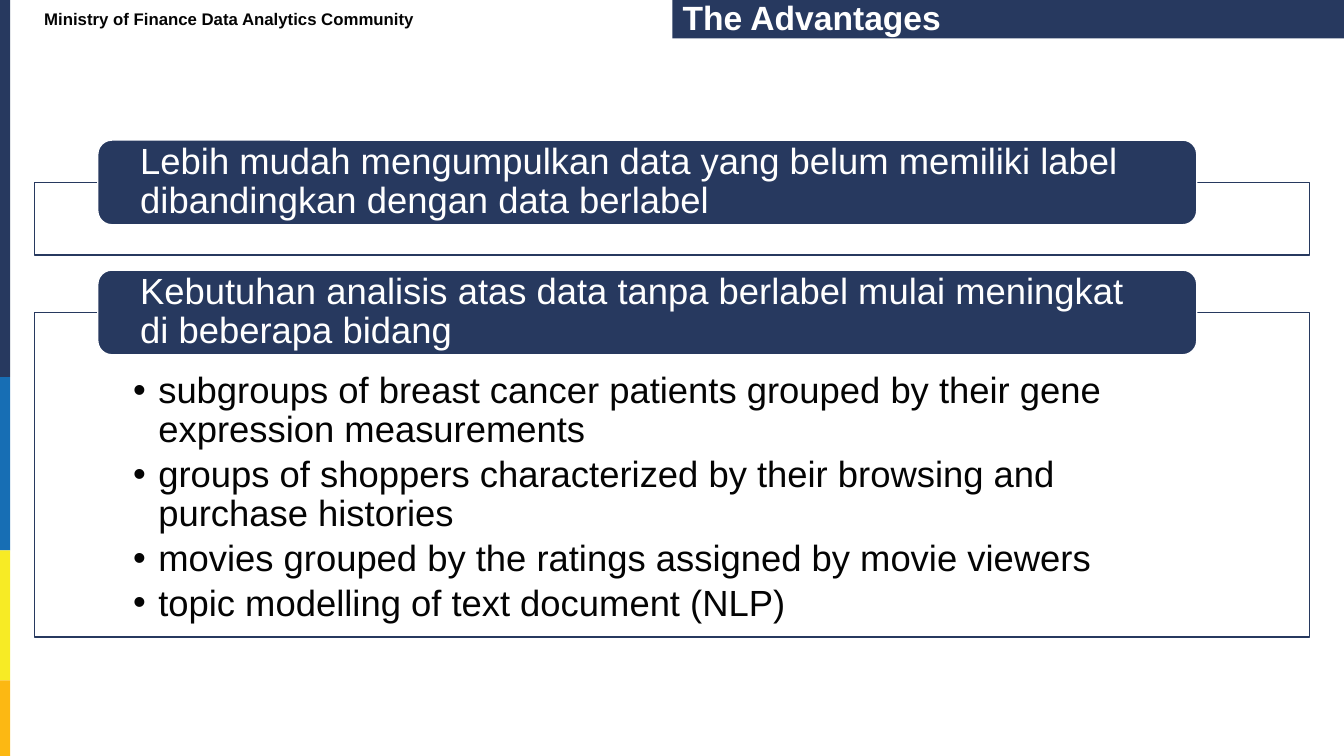
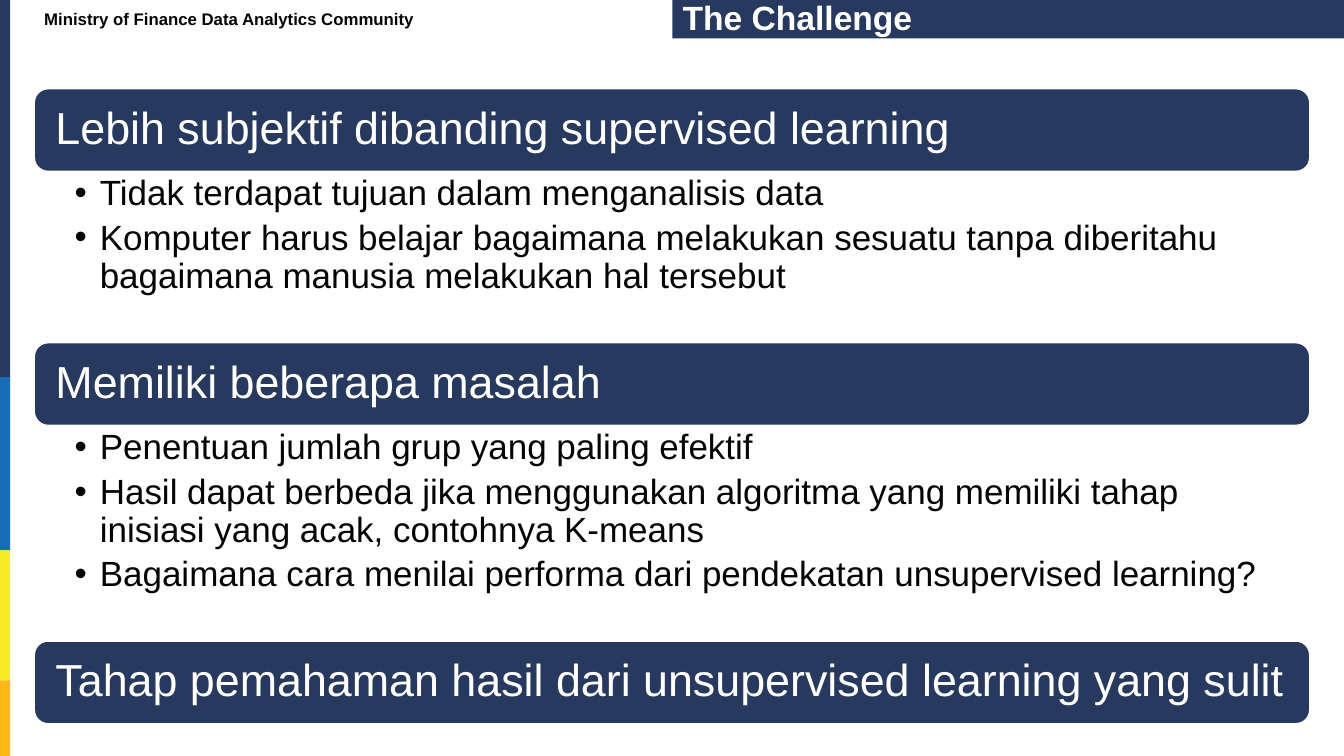
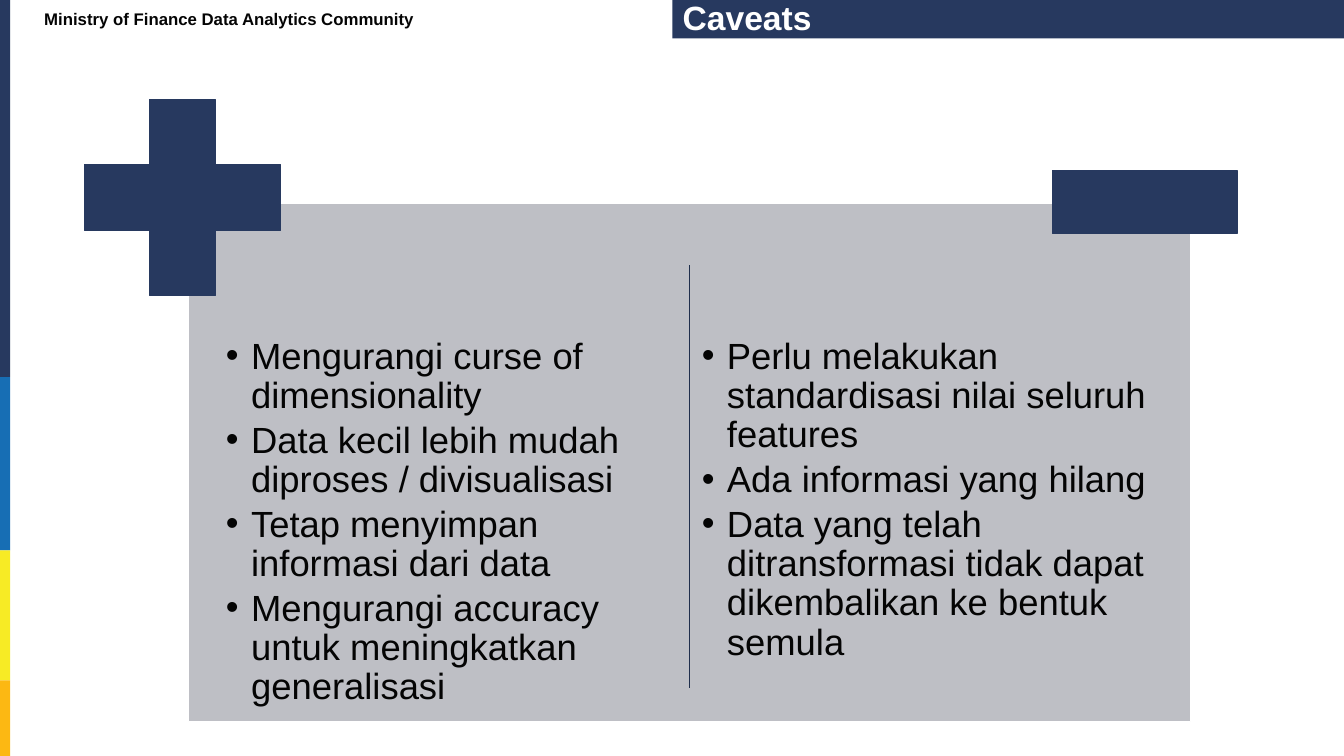
from lxml import etree
from pptx import Presentation
from pptx.dml.color import RGBColor
from pptx.enum import shapes, text
from pptx.oxml import ns
from pptx.util import Inches, Pt

NAVY = RGBColor(0x27, 0x39, 0x5F)
DARK_NAVY = RGBColor(0x1F, 0x2E, 0x4C)
BLUE = RGBColor(0x17, 0x6E, 0xB4)
YELLOW = RGBColor(0xF7, 0xEB, 0x25)
ORANGE = RGBColor(0xFC, 0xB8, 0x13)
GREY = RGBColor(0xBE, 0xBF, 0xC5)
WHITE = RGBColor(0xFF, 0xFF, 0xFF)
BLACK = RGBColor(0x04, 0x04, 0x04)

FONT = "Arial"
ONE_LIST, TWO_LISTS = 1, 3  # layouts of the default template
LEFT, WIDTH = 0.34, 12.65
TITLE_BOX = (6.67, 0, 6.67, 0.38)
STRIPES = [(0, 3.74, NAVY), (3.74, 1.72, BLUE),
           (5.46, 1.29, YELLOW), (6.75, 0.75, ORANGE)]


class Deck:
    """Holds the shared style and the slide being built."""

    def __init__(self):
        self.presentation = Presentation()
        self.presentation.slide_width = Inches(13.33)
        self.presentation.slide_height = Inches(7.5)
        self.slide = None

    def new_slide(self, title, layout):
        first = self.slide is None
        layouts = self.presentation.slide_layouts
        self.slide = self.presentation.slides.add_slide(layouts[layout])
        if first:
            self.decorate_master()
        heading = self.slide.shapes.title
        self.place(heading, TITLE_BOX)
        self.set_text(heading, [title], 24, WHITE, bold=True, spacing=0.9)
        header = self.slide.shapes.add_textbox(
            *map(Inches, (LEFT, 0.07, 4.53, 0.23)))
        self.set_text(header, ["Ministry of Finance Data Analytics Community"],
                      12, BLACK, bold=True)

    def decorate_master(self):
        """Moves the stripes and the title band to the slide master."""
        bands = [self.shape((0, top, 0.1, height), color)
                 for top, height, color in STRIPES]
        bands.append(self.shape(TITLE_BOX, NAVY))
        first_placeholder = self.presentation.slide_master.placeholders[0]
        for band in bands:
            first_placeholder.element.addprevious(band.element)

    def place(self, shape, box):
        shape.left, shape.top, shape.width, shape.height = map(Inches, box)

    def shape(self, box, fill, line=None,
              kind=shapes.MSO_SHAPE.RECTANGLE):
        shape = self.slide.shapes.add_shape(kind, *map(Inches, box))
        shape.shadow.inherit = False
        self.paint(shape, fill, line)
        return shape

    def paint(self, shape, fill, line=None):
        shape.fill.solid()
        shape.fill.fore_color.rgb = fill
        if line is None:
            shape.line.fill.background()
        else:
            shape.line.color.rgb = line
            shape.line.width = Pt(1)

    def panel(self, box):
        """A backdrop behind the placeholders."""
        panel = self.shape(box, GREY, WHITE)
        self.slide.shapes.title.element.addprevious(panel.element)

    def bar(self, box, label, size, inset):
        bar = self.shape(box, NAVY, WHITE,
                         shapes.MSO_SHAPE.ROUNDED_RECTANGLE)
        self.set_text(bar, [label], size, WHITE, (inset, 0, inset, 0),
                      spacing=0.9)

    def bullets(self, number, box, items, size, insets, gap):
        body = self.slide.placeholders[number]
        self.place(body, box)
        self.set_text(body, items, size, BLACK, insets, spacing=0.9, gap=gap,
                      anchor=text.MSO_ANCHOR.TOP, bullet=True)
        return body

    def divider(self, x, top, bottom):
        line = self.slide.shapes.add_connector(
            shapes.MSO_CONNECTOR.STRAIGHT,
            *map(Inches, (x, top, x, bottom)))
        line.line.color.rgb = DARK_NAVY
        line.line.width = Pt(1)
        etree.SubElement(line.element.spPr, ns.qn("a:effectLst"))

    def set_text(self, shape, lines, size, color,
                 insets=(0.1, 0.05, 0.1, 0.05), bold=False, spacing=1.0,
                 gap=0, anchor=text.MSO_ANCHOR.MIDDLE, bullet=False):
        frame = shape.text_frame
        frame.text = "\n".join(lines)
        frame.word_wrap = True
        frame.auto_size = text.MSO_AUTO_SIZE.NONE
        frame.vertical_anchor = anchor
        (frame.margin_left, frame.margin_top,
         frame.margin_right, frame.margin_bottom) = map(Inches, insets)
        for paragraph in frame.paragraphs:
            paragraph.alignment = text.PP_ALIGN.LEFT
            paragraph.line_spacing = spacing
            paragraph.space_before = Pt(0)
            paragraph.space_after = Pt(gap)
            if bullet:
                self.add_bullet(paragraph)
            for run in paragraph.runs:
                run.font.name = FONT
                run.font.size = Pt(size)
                run.font.bold = bold
                run.font.color.rgb = color

    def add_bullet(self, paragraph):
        properties = paragraph._p.get_or_add_pPr()
        properties.set("marL", str(Inches(0.25)))
        properties.set("indent", str(Inches(-0.25)))
        etree.SubElement(properties, ns.qn("a:buFont"), typeface=FONT)
        etree.SubElement(properties, ns.qn("a:buChar"), char="•")


def advantages(deck):
    deck.new_slide("The Advantages", ONE_LIST)
    # Outlined frames
    deck.shape((LEFT, 1.81, WIDTH, 0.72), WHITE, NAVY)
    body = deck.bullets(1, (LEFT, 3.1, WIDTH, 3.22), [
        "subgroups of breast cancer patients grouped by their gene "
        "expression measurements",
        "groups of shoppers characterized by their browsing and "
        "purchase histories",
        "movies grouped by the ratings assigned by movie viewers",
        "topic modelling of text document (NLP)",
    ], 26, (0.98, 0.59, 0.98, 0.2), 3.9)
    deck.paint(body, WHITE, NAVY)
    # Headings on the frames
    for top, label in [
        (1.39, "Lebih mudah mengumpulkan data yang belum memiliki label "
               "dibandingkan dengan data berlabel"),
        (2.68, "Kebutuhan analisis atas data tanpa berlabel mulai "
               "meningkat di beberapa bidang"),
    ]:
        deck.bar((0.97, top, 10.9, 0.84), label, 26, 0.38)


def challenge(deck):
    deck.new_slide("The Challenge", TWO_LISTS)
    # Headings
    bar_height = 0.82
    for top, label in [
        (0.88, "Lebih subjektif dibanding supervised learning"),
        (3.4, "Memiliki beberapa masalah"),
        (6.36, "Tahap pemahaman hasil dari unsupervised learning yang sulit"),
    ]:
        deck.bar((LEFT, top, WIDTH, bar_height), label, 32, 0.17)
    # Lists below the first two headings
    for number, top, height, items in [
        (1, 1.7, 1.7, [
            "Tidak terdapat tujuan dalam menganalisis data",
            "Komputer harus belajar bagaimana melakukan sesuatu tanpa "
            "diberitahu bagaimana manusia melakukan hal tersebut"]),
        (2, 4.22, 2.14, [
            "Penentuan jumlah grup yang paling efektif",
            "Hasil dapat berbeda jika menggunakan algoritma yang memiliki "
            "tahap inisiasi yang acak, contohnya K-means",
            "Bagaimana cara menilai performa dari pendekatan unsupervised "
            "learning?"]),
    ]:
        deck.bullets(number, (LEFT, top, WIDTH, height), items, 25,
                     (0.4, 0.04, 0.25, 0.04), 5)


def caveats(deck):
    deck.new_slide("Caveats", TWO_LISTS)
    deck.panel((1.87, 2.02, 9.94, 5.14))
    # Gains and losses
    for number, left, items in [
        (1, 2.17, ["Mengurangi curse of dimensionality",
                   "Data kecil lebih mudah diproses / divisualisasi",
                   "Tetap menyimpan informasi dari data",
                   "Mengurangi accuracy untuk meningkatkan generalisasi"]),
        (2, 6.89, ["Perlu melakukan standardisasi nilai seluruh features",
                   "Ada informasi yang hilang",
                   "Data yang telah ditransformasi tidak dapat dikembalikan "
                   "ke bentuk semula"]),
    ]:
        deck.bullets(number, (left, 3.28, 4.61, 3.73), items, 26,
                     (0.07, 0.07, 0.07, 0.07), 3.9)
    # Plus and minus signs
    plus = deck.shape((0.84, 0.99, 1.94, 1.94), NAVY, NAVY,
                      shapes.MSO_SHAPE.CROSS)
    plus.adjustments[0] = 0.33
    deck.shape((10.44, 1.69, 1.83, 0.63), NAVY, NAVY)
    deck.divider(6.84, 2.63, 6.83)


def main():
    deck = Deck()
    for build in (advantages, challenge, caveats):
        build(deck)
    deck.presentation.save("out.pptx")


if __name__ == "__main__":
    main()
